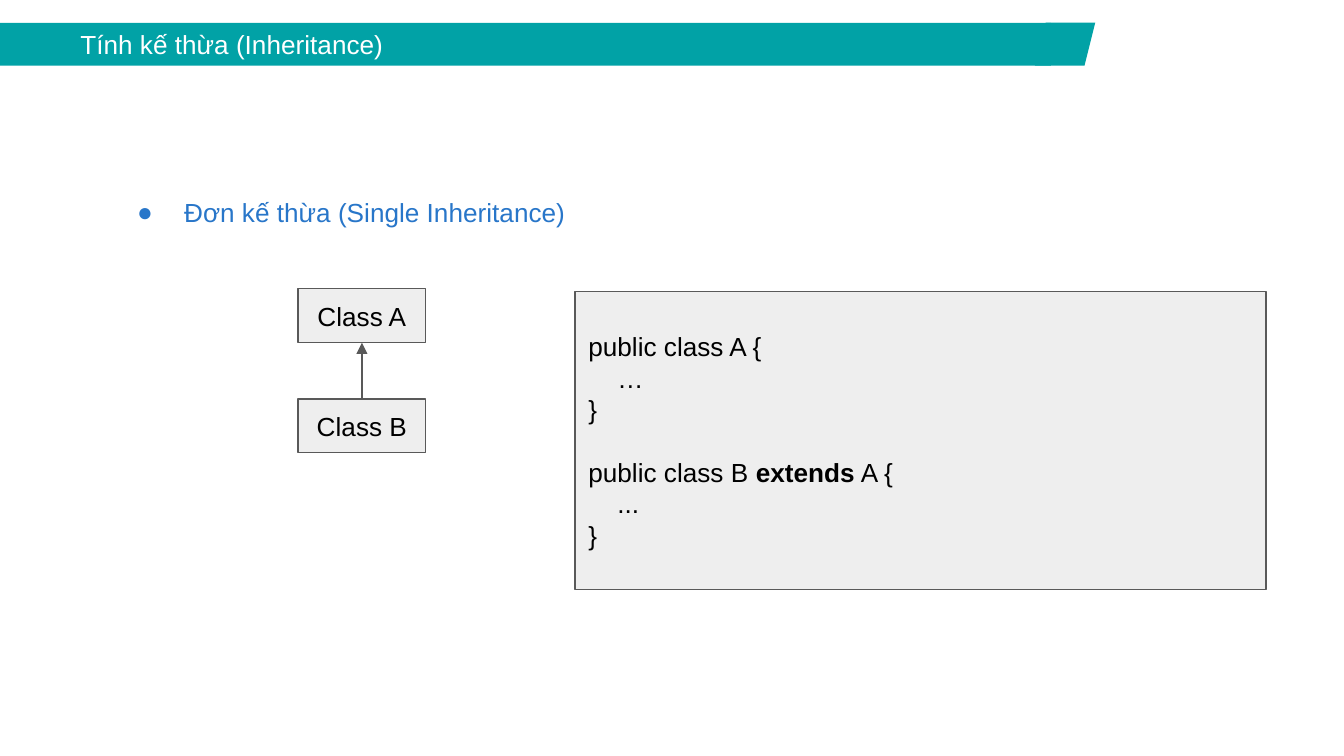
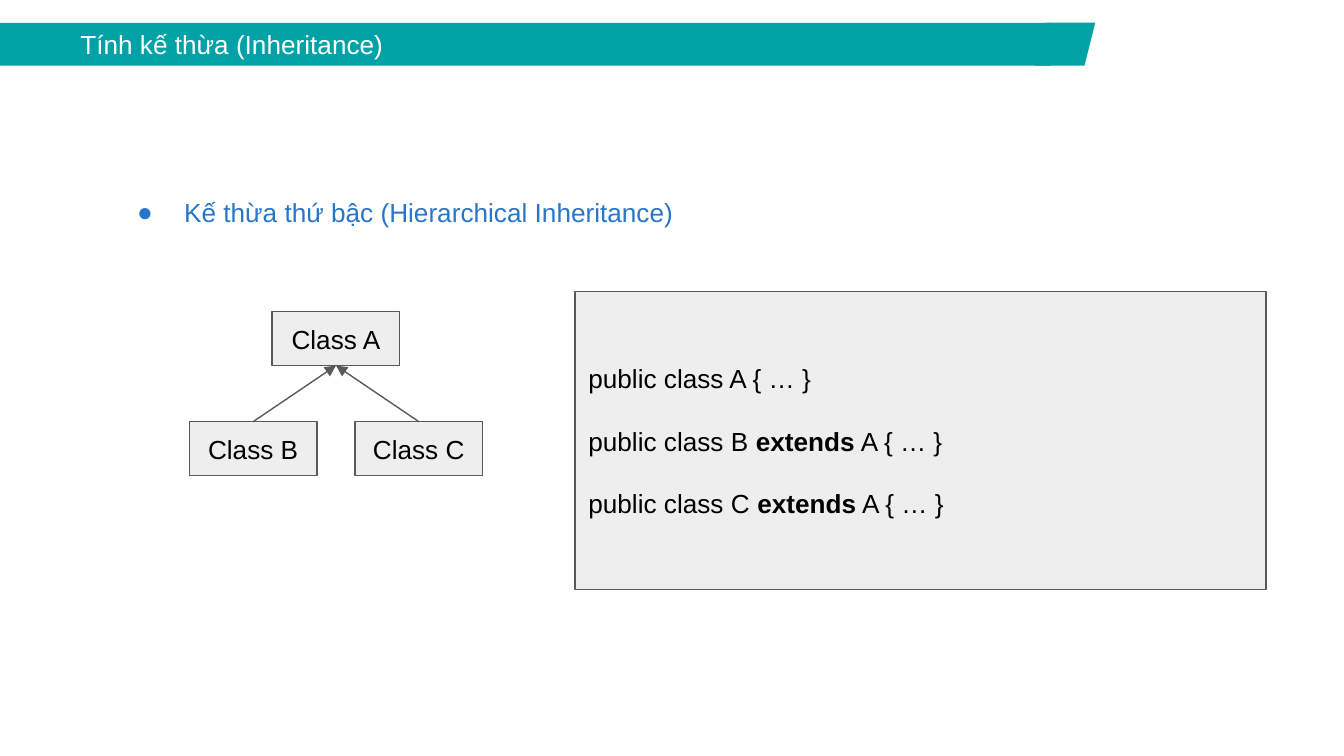
from lxml.etree import SubElement
from pptx import Presentation
from pptx.dml.color import RGBColor
from pptx.enum.shapes import MSO_CONNECTOR as Link, MSO_SHAPE as Shape
from pptx.enum.text import MSO_ANCHOR as Anchor, MSO_AUTO_SIZE as AutoSize, PP_ALIGN as Align
from pptx.oxml.ns import qn
from pptx.util import Cm, Pt

TEAL = RGBColor(0x01, 0xA2, 0xA6)
BLUE = RGBColor(0x28, 0x76, 0xC9)
PALE = RGBColor(0xEE, 0xEE, 0xEE)
GREY = RGBColor(0x59, 0x59, 0x59)
BLACK = RGBColor(0, 0, 0)
WHITE = RGBColor(0xFF, 0xFF, 0xFF)

FONT = "Arial"
TEXT_SIZE = Pt(14)
CODE_GAP = Pt(16.8)
CODE_INDENT = Cm(0.55)
TITLE = "Tính kế thừa (Inheritance)"

BAND_BOX = (Cm(0), Cm(0.43), Cm(19.86), Cm(0.81))
TIP_WIDTH = Cm(1.14)
TIP_OVERLAP = Cm(0.3)
TOPIC_BOX = (Cm(1.96), Cm(2.87), Cm(13.31), Cm(1.78))
CODE_BOX = (Cm(10.87), Cm(5.51), Cm(13.06), Cm(5.64))
CLASS_WIDTH, CLASS_HEIGHT = Cm(2.41), Cm(1.02)
LEVEL_STEP, SIBLING_STEP = Cm(2.08), Cm(3.13)


def place(shape, box):
    shape.left, shape.top, shape.width, shape.height = box


def set_frame(shape, anchor):
    frame = shape.text_frame
    frame.word_wrap = True
    frame.auto_size = AutoSize.NONE
    frame.vertical_anchor = anchor
    frame.margin_left = frame.margin_right = Cm(0.25)
    frame.margin_top = frame.margin_bottom = Cm(0.25)
    return frame


def set_indent(para, margin, first_line):
    properties = para._p.get_or_add_pPr()
    properties.set("marL", str(int(margin)))
    properties.set("indent", str(int(first_line)))
    return properties


def add_span(para, text, color, bold=False):
    span = para.add_run()
    span.text = text
    span.font.name = FONT
    span.font.size = TEXT_SIZE
    span.font.bold = bold
    span.font.color.rgb = color


def add_panel(shapes, kind, box, fill, outline=None):
    panel = shapes.add_shape(kind, *box)
    panel.shadow.inherit = False
    panel.fill.solid()
    panel.fill.fore_color.rgb = fill
    if outline is None:
        panel.line.fill.background()
    else:
        panel.line.color.rgb = outline
        panel.line.width = Pt(0.75)
    return panel


def add_title_band(page, box):
    left, top, width, height = box
    title = page.shapes.title
    place(title, box)
    title.fill.solid()
    title.fill.fore_color.rgb = TEAL
    para = set_frame(title, Anchor.MIDDLE).paragraphs[0]
    para.alignment = Align.LEFT
    set_indent(para, 0, Cm(1.27))
    add_span(para, TITLE, WHITE)
    tip_box = (left + width - TIP_OVERLAP, top, TIP_WIDTH, height)
    tip = add_panel(page.shapes, Shape.PARALLELOGRAM, tip_box, TEAL)
    tip.adjustments[0] = 0.25


def add_topic(page, box, text):
    body = page.placeholders[1]
    place(body, box)
    para = set_frame(body, Anchor.TOP).paragraphs[0]
    para.line_spacing = 2.0
    para.space_before = Pt(10)
    properties = set_indent(para, Cm(1.27), Cm(-0.89))
    bullet_color = SubElement(properties, qn("a:buClr"))
    SubElement(bullet_color, qn("a:srgbClr")).set("val", str(BLUE))
    SubElement(properties, qn("a:buFont")).set("typeface", FONT)
    SubElement(properties, qn("a:buChar")).set("char", "●")
    add_span(para, text, BLUE)


def add_class(shapes, center, top, name):
    box = (center - CLASS_WIDTH // 2, top, CLASS_WIDTH, CLASS_HEIGHT)
    panel = add_panel(shapes, Shape.RECTANGLE, box, PALE, GREY)
    para = set_frame(panel, Anchor.MIDDLE).paragraphs[0]
    para.alignment = Align.CENTER
    add_span(para, name, BLACK)
    return panel


def add_arrow(shapes, child, parent):
    arrow = shapes.add_connector(Link.STRAIGHT, 0, 0, 0, 0)
    arrow.begin_connect(child, 0)
    arrow.end_connect(parent, 2)
    arrow.line.color.rgb = GREY
    arrow.line.width = Pt(0.75)
    properties = arrow._element.spPr
    SubElement(properties.find(qn("a:ln")), qn("a:tailEnd")).set("type", "triangle")
    SubElement(properties, qn("a:effectLst"))


def add_hierarchy(page, center, top, parent_name, child_names):
    shapes = page.shapes.add_group_shape().shapes
    parent = add_class(shapes, center, top, parent_name)
    first = center - SIBLING_STEP * (len(child_names) - 1) // 2
    for index, name in enumerate(child_names):
        child = add_class(shapes, first + index * SIBLING_STEP, top + LEVEL_STEP, name)
        add_arrow(shapes, child, parent)


def add_code(page, box, blocks):
    panel = add_panel(page.shapes, Shape.RECTANGLE, box, PALE, GREY)
    frame = set_frame(panel, Anchor.MIDDLE)
    para = frame.paragraphs[0]
    for block_index, block in enumerate(blocks):
        for line_index, line in enumerate(block):
            if block_index or line_index:
                para = frame.add_paragraph()
            para.alignment = Align.LEFT
            if block_index and line_index == 0:
                para.space_before = CODE_GAP
            if line in ("…", "..."):
                set_indent(para, CODE_INDENT, 0)
            before, keyword, after = line.partition("extends")
            add_span(para, before, BLACK)
            if keyword:
                add_span(para, keyword, BLACK, bold=True)
                add_span(para, after, BLACK)


def add_inheritance_page(deck, topic, center, top, children, blocks):
    page = deck.slides.add_slide(deck.slide_layouts[1])
    add_title_band(page, BAND_BOX)
    add_topic(page, TOPIC_BOX, topic)
    add_hierarchy(page, center, top, "Class A", children)
    add_code(page, CODE_BOX, blocks)


def main():
    deck = Presentation()
    deck.slide_width, deck.slide_height = Cm(25.4), Cm(14.29)
    add_inheritance_page(
        deck, "Đơn kế thừa (Single Inheritance)", Cm(6.84), Cm(5.46), ["Class B"],
        [["public class A {", "…", "}"], ["public class B extends A {", "...", "}"]],
    )
    add_inheritance_page(
        deck, "Kế thừa thứ bậc (Hierarchical Inheritance)", Cm(6.35), Cm(5.89),
        ["Class B", "Class C"],
        [["public class A { … }"], ["public class B extends A { … }"],
         ["public class C extends A { … }"]],
    )
    deck.save("out.pptx")


if __name__ == "__main__":
    main()
